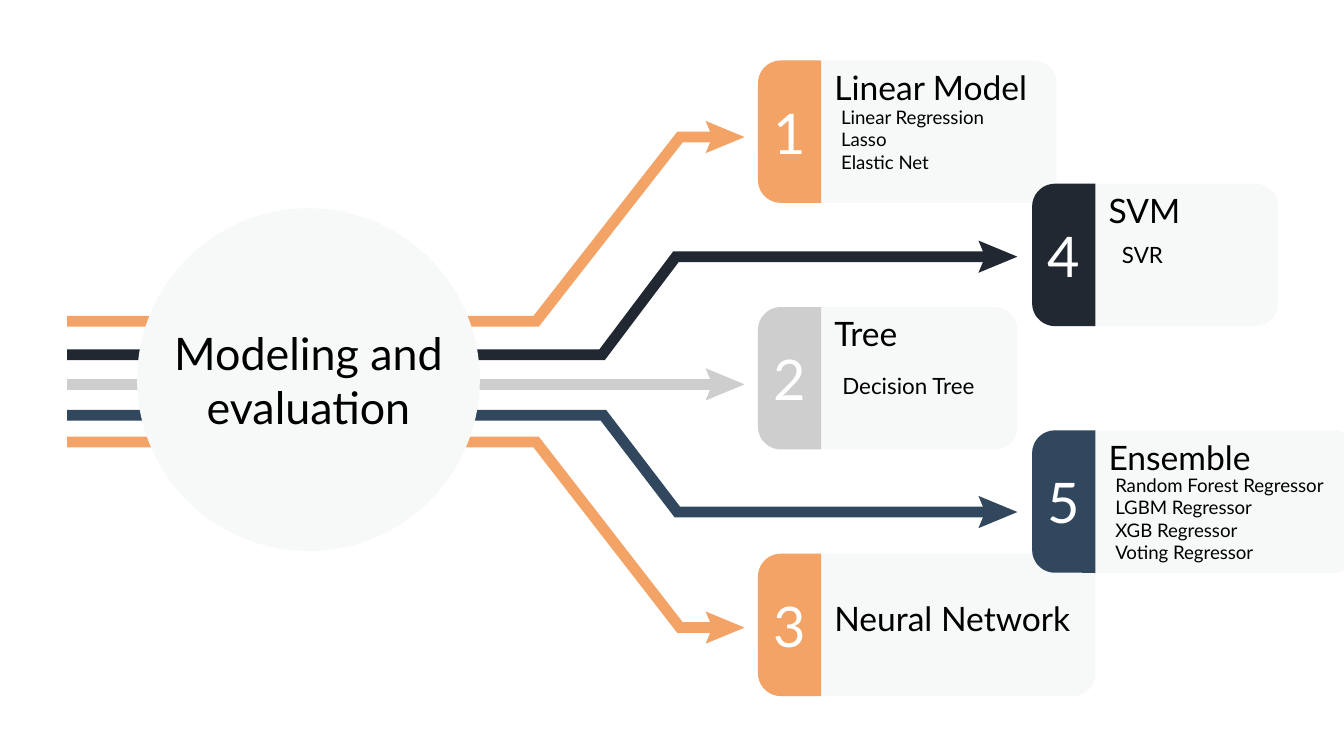
from math import cos, radians, sin

from pptx import Presentation
from pptx.dml.color import RGBColor
from pptx.enum.shapes import MSO_SHAPE
from pptx.enum.text import MSO_ANCHOR, MSO_AUTO_SIZE, PP_ALIGN
from pptx.util import Inches, Pt

OVAL, ROUNDED = MSO_SHAPE.OVAL, MSO_SHAPE.ROUNDED_RECTANGLE
MIDDLE, NO_FIT = MSO_ANCHOR.MIDDLE, MSO_AUTO_SIZE.NONE
LEFT, CENTER = PP_ALIGN.LEFT, PP_ALIGN.CENTER

ORANGE, DARK, GREY, BLUE = "F2A365", "222831", "CECECE", "30475E"
PALE, BLACK, WHITE = "F7F9F9", "000000", "FFFFFF"

# Card grid, in inches
COLUMN_START, COLUMN_PITCH = 5.64, 2.04
ROW_START, ROW_PITCH = 0.45, 3.67 / 4
CARD_HEIGHT, TAB_WIDTH, RADIUS = 1.06, 0.47, 0.17
HEADING_HEIGHT, BODY_HEIGHT = 0.39, 0.65

# Arrows, in inches
ARROW_START, HALF_BAND, MITRE = 0.5, 0.04, 0.02
HEAD_BACK, HEAD_NOTCH, HEAD_TIP, HEAD_HALF = 0.09, 0.04, 0.2, 0.12

# A 16:9 slide
presentation = Presentation()
presentation.slide_width = Inches(10)
presentation.slide_height = presentation.slide_width * 9 // 16
slide = presentation.slides.add_slide(presentation.slide_layouts[5])
shapes = slide.shapes


def draw(colour, points=None, preset=None, box=None):
    """Add a plain filled shape, from corner points or from a preset and its box."""
    if points:
        corners = [(Inches(x), Inches(y)) for x, y in points]
        builder = shapes.build_freeform(*corners[0])
        builder.add_line_segments(corners[1:], close=True)
        shape = builder.convert_to_shape()
    else:
        shape = shapes.add_shape(preset, *map(Inches, box))
    shape.shadow.inherit = False
    shape.fill.solid()
    shape.fill.fore_color.rgb = RGBColor.from_string(colour)
    shape.line.fill.background()
    return shape


def write(shape, lines, size, colour, alignment):
    """Fill a shape with one paragraph per line, centred vertically."""
    frame = shape.text_frame
    frame.word_wrap, frame.auto_size = True, NO_FIT
    frame.vertical_anchor = MIDDLE
    frame.margin_left = frame.margin_right = Inches(0.1)
    frame.margin_top = frame.margin_bottom = Inches(0.1)
    for index, line in enumerate(lines):
        paragraph = frame.add_paragraph() if index else frame.paragraphs[0]
        paragraph.alignment, paragraph.line_spacing = alignment, 1.0
        run = paragraph.add_run()
        run.text = line
        run.font.name, run.font.size = "Lato", Pt(size)
        run.font.color.rgb = RGBColor.from_string(colour)


# Arrows: colour, start height, bends, end height, end of band
arrows = [
    (GREY, 2.86, None, 2.86, 5.34),
    (ORANGE, 2.39, (3.99, 5.06), 1.02, 5.34),
    (DARK, 2.64, (4.48, 5.03), 1.91, 7.37),
    (BLUE, 3.09, (4.49, 5.04), 3.81, 7.37),
    (ORANGE, 3.29, (3.99, 5.06), 4.67, 5.34),
]
for colour, start_y, bends, end_y, end_x in arrows:
    centre = [(ARROW_START, start_y, 0), (end_x, end_y, 0)]
    if bends:
        shift = -MITRE if end_y < start_y else MITRE
        centre[1:1] = [(bends[0], start_y, shift), (bends[1], end_y, shift)]
    top = [(x + shift, y - HALF_BAND) for x, y, shift in centre]
    bottom = [(x - shift, y + HALF_BAND) for x, y, shift in centre]
    draw(colour, points=top + bottom[::-1])
    draw(colour, points=[
        (end_x - HEAD_BACK, end_y - HEAD_HALF),
        (end_x + HEAD_TIP, end_y),
        (end_x - HEAD_BACK, end_y + HEAD_HALF),
        (end_x - HEAD_NOTCH, end_y),
    ])

# Central circle with the slide title on it
circle = draw(PALE, preset=OVAL, box=(1.02, 1.55, 2.55, 2.55))
title = shapes.title
title.left, title.top = circle.left, circle.top
title.width, title.height = circle.width, circle.height
circle.element.addnext(title.element)
write(title, ["Modeling and evaluation"], 24, BLACK, CENTER)

# Cards: number, colour, column, row, width, heading and its drop,
# body lines, body size, body offset from the heading
cards = [
    ("3", ORANGE, 0, 4, 2.51, "Neural Network", 0.28, [], 0, (0, 0)),
    ("1", ORANGE, 0, 0, 2.22, "Linear Model", 0,
     ["Linear Regression", "Lasso", "Elastic Net"], 10, (0.05, 0.26)),
    ("2", GREY, 0, 2, 1.93, "Tree", 0, ["Decision Tree"], 12, (0.06, 0.26)),
    ("4", DARK, 1, 1, 1.83, "SVM", 0, ["SVR"], 12, (0.1, 0.2)),
    ("5", BLUE, 1, 3, 2.41, "Ensemble", 0,
     ["Random Forest Regressor", "LGBM Regressor", "XGB Regressor",
      "Voting Regressor"], 10, (0.05, 0.33)),
]
for number, colour, column, row, width, heading, drop, body, size, offset in cards:
    left = COLUMN_START + column * COLUMN_PITCH
    top = ROW_START + row * ROW_PITCH
    bottom, text_left = top + CARD_HEIGHT, left + TAB_WIDTH
    card = draw(PALE, preset=ROUNDED, box=(left, top, width, CARD_HEIGHT))
    card.adjustments[0] = RADIUS / CARD_HEIGHT

    # Number tab, rounded on its left side only
    turns = [radians(angle) for angle in range(0, 91, 10)]
    upper = [(left + RADIUS * (1 - cos(turn)), top + RADIUS * (1 - sin(turn)))
             for turn in turns]
    lower = [(x, top + bottom - y) for x, y in upper[::-1]]
    tab = draw(colour, points=upper + [(text_left, top), (text_left, bottom)] + lower)
    write(tab, [number], 30, WHITE, CENTER)

    # Heading and body
    text_width = width - TAB_WIDTH
    texts = [([heading], 18, 0, drop, HEADING_HEIGHT)]
    if body:
        texts.append((body, size, *offset, BODY_HEIGHT))
    for lines, points, across, down, height in texts:
        box = (text_left + across, top + down, text_width, height)
        write(shapes.add_textbox(*map(Inches, box)), lines, points, BLACK, LEFT)

presentation.save("out.pptx")
